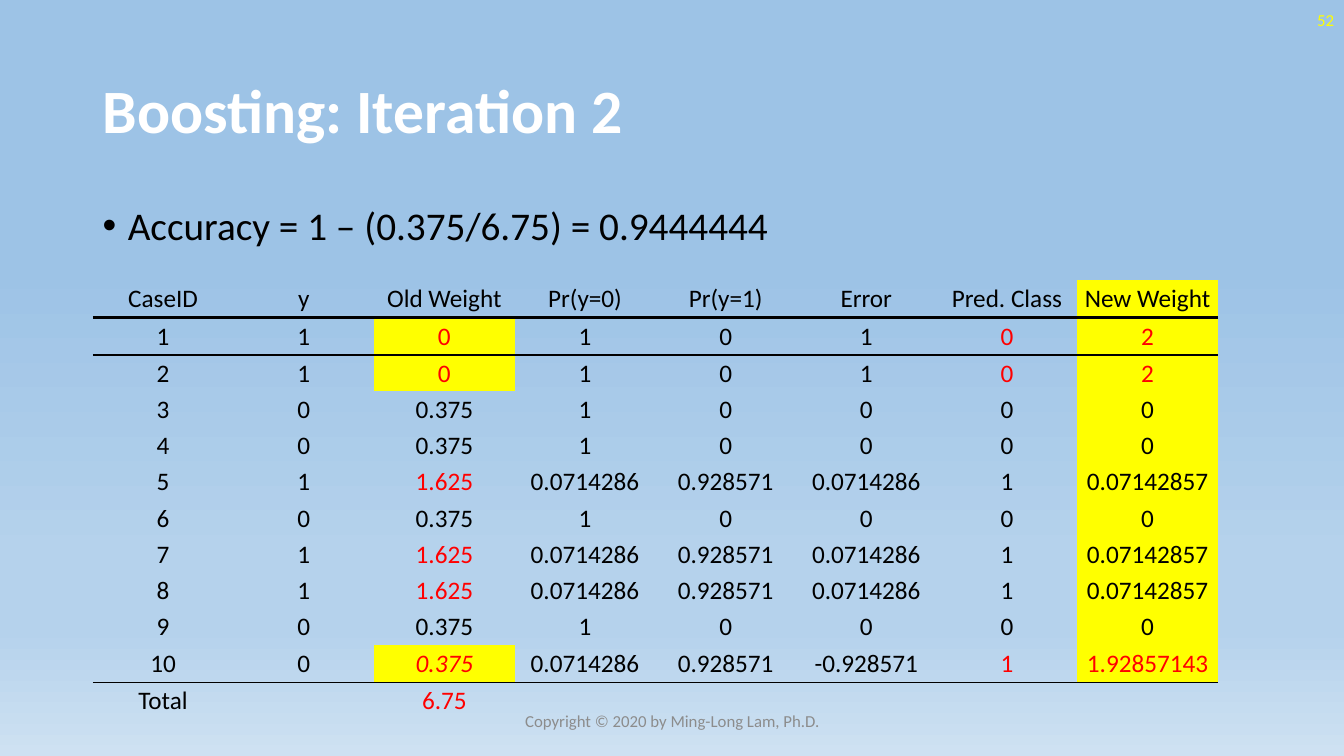
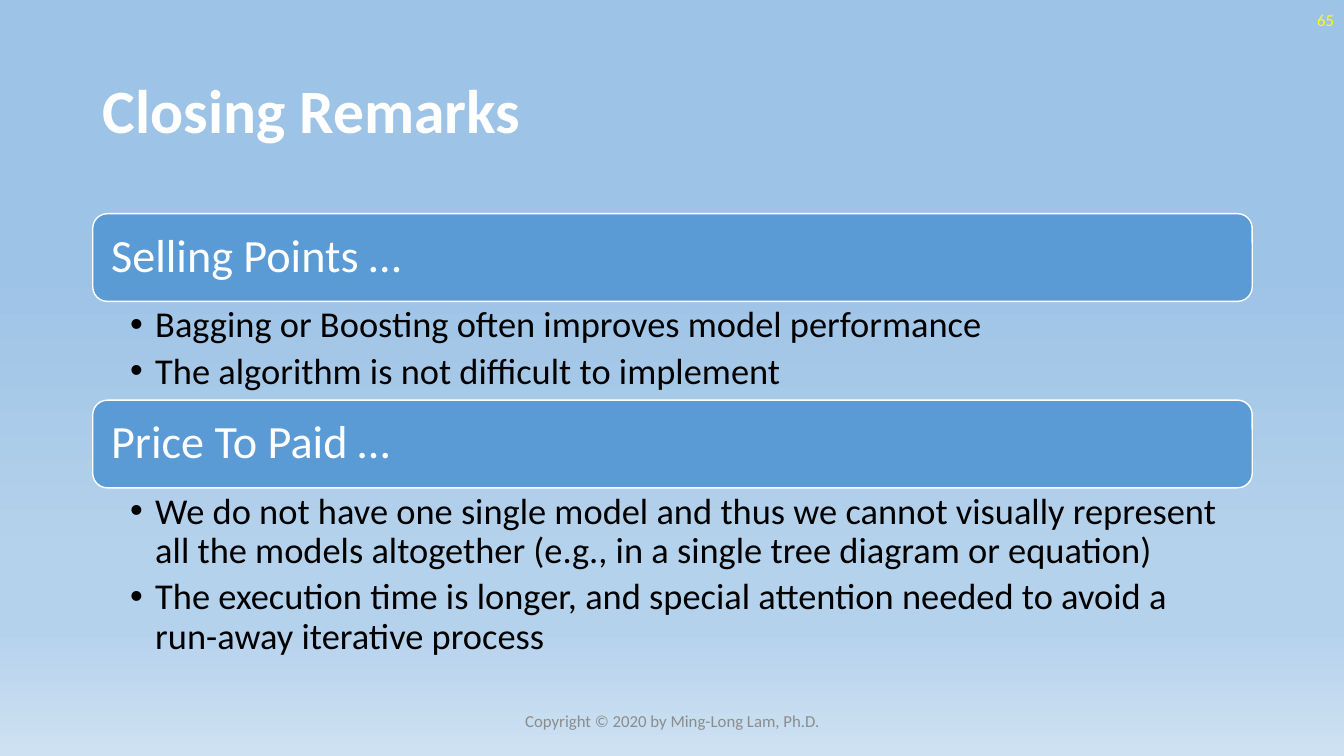
"""Build two lecture slides: a boosting iteration table and closing remarks."""
from dataclasses import dataclass

from lxml.etree import SubElement
from pptx import Presentation
from pptx.dml.color import RGBColor
from pptx.enum.shapes import MSO_SHAPE as Shape
from pptx.enum.text import MSO_ANCHOR as Anchor, MSO_AUTO_SIZE as AutoSize, PP_ALIGN as Align
from pptx.oxml.ns import qn
from pptx.util import Inches, Pt

FONT = "Calibri"
BLACK, WHITE, RED, YELLOW = "000000", "FFFFFF", "FF0000", "FFFF00"
BLUE, GRAY = "5B9BD5", "8C8C8C"
GRADIENT = [(35, "9DC3E6"), (74, "B5D2EC"), (83, "B5D2EC"), (100, "CEE1F2")]
NO_TABLE_STYLE = "{2D5ABB26-0587-4C30-8999-92F81FD0307C}"
COPYRIGHT = "Copyright © 2020 by Ming-Long Lam, Ph.D."
LEFT, WIDTH = 0.92, 11.5
BAR_HEIGHT = 0.87

HEADER = ["CaseID", "y", "Old Weight", "Pr(y=0)", "Pr(y=1)", "Error", "Pred. Class", "New Weight"]
MISSED_ONE = ["1", "0", "1", "0", "1", "0", "2"]
RIGHT_ZERO = ["0", "0.375", "1", "0", "0", "0", "0"]
RIGHT_ONE = ["1", "1.625", "0.0714286", "0.928571", "0.0714286", "1", "0.07142857"]
MISSED_ZERO = ["0", "0.375", "0.0714286", "0.928571", "-0.928571", "1", "1.92857143"]
CASES = [MISSED_ONE, MISSED_ONE, RIGHT_ZERO, RIGHT_ZERO, RIGHT_ONE,
         RIGHT_ZERO, RIGHT_ONE, RIGHT_ONE, RIGHT_ZERO, MISSED_ZERO]
TOTAL = ["Total", "", "6.75", "", "", "", "", ""]
Y, OLD, PRED, NEW = 1, 2, 6, 7
RULES = {0: ("a:lnB", 2), 1: ("a:lnT", 2), 10: ("a:lnB", 1), 11: ("a:lnT", 1)}


@dataclass
class Style:
    """Look of a paragraph."""
    size: float
    color: str = BLACK
    bold: bool = False
    italic: bool = False
    align: Align = Align.LEFT
    spacing: float = 1.0
    after: float = 0
    bullet: bool = False


@dataclass
class Section:
    """A heading bar with the points below it."""
    heading: str
    top: float
    height: float
    points: list[str]


TITLE = Style(44, WHITE, bold=True, spacing=0.9)
BODY = Style(28, spacing=0.9, bullet=True)
POINT = Style(26, spacing=0.9, after=5, bullet=True)
HEADING = Style(33, WHITE, spacing=0.9)
NUMBER = Style(12, YELLOW, align=Align.RIGHT)
FOOTER = Style(12, GRAY, align=Align.CENTER)

SECTIONS = [
    Section("Selling Points …", 2.12, 0.99, [
        "Bagging or Boosting often improves model performance",
        "The algorithm is not difficult to implement"]),
    Section("Price To Paid …", 3.97, 1.79, [
        "We do not have one single model and thus we cannot visually represent all the models "
        "altogether (e.g., in a single tree diagram or equation)",
        "The execution time is longer, and special attention needed to avoid a run-away "
        "iterative process"]),
]


def rgb(color: str) -> RGBColor:
    """Turn a hex string into a colour."""
    return RGBColor.from_string(color)


def set_margins(box, left: float, top: float, right: float, bottom: float) -> None:
    """Set the insets of a text frame or cell in inches."""
    box.margin_left, box.margin_top = Inches(left), Inches(top)
    box.margin_right, box.margin_bottom = Inches(right), Inches(bottom)


def write(tf, texts: list[str], style: Style) -> None:
    """Write one paragraph per text in a single style."""
    for i, text in enumerate(texts):
        p = tf.add_paragraph() if i else tf.paragraphs[0]
        if style.bullet:
            ppr = p._p.get_or_add_pPr()
            ppr.set("marL", str(Inches(0.25)))
            ppr.set("indent", str(Inches(-0.25)))
            SubElement(ppr, qn("a:buFont"), typeface="Arial")
            SubElement(ppr, qn("a:buChar"), char="•")
        p.alignment, p.line_spacing = style.align, style.spacing
        p.space_before, p.space_after = Pt(0), Pt(style.after)
        r = p.add_run()
        r.text = text
        r.font.name, r.font.size = FONT, Pt(style.size)
        r.font.bold, r.font.italic = style.bold, style.italic
        r.font.color.rgb = rgb(style.color)


def add_text(s, at: tuple, texts: list[str], style: Style, anchor=Anchor.MIDDLE):
    """Add a wrapping text box and return its frame."""
    tf = s.shapes.add_textbox(*map(Inches, at)).text_frame
    tf.word_wrap, tf.vertical_anchor = True, anchor
    write(tf, texts, style)
    return tf


def set_background(prs) -> None:
    """Give the master a vertical gradient."""
    fill = prs.slide_master.background.fill
    fill.gradient()
    fill.gradient_angle = 270
    stops = next(prs.slide_master.element.iter(qn("a:gsLst")))
    for stop in list(stops):
        stops.remove(stop)
    for percent, color in GRADIENT:
        stop = SubElement(stops, qn("a:gs"), pos=str(percent * 1000))
        SubElement(stop, qn("a:srgbClr"), val=color)


def add_slide(prs, title: str, number: int):
    """Add a slide with its title, number and copyright line."""
    s = prs.slides.add_slide(prs.slide_layouts[5])
    sp = s.shapes.title
    sp.left, sp.top, sp.width, sp.height = map(Inches, (LEFT, 0.4, WIDTH, 1.45))
    tf = sp.text_frame
    tf.word_wrap, tf.auto_size, tf.vertical_anchor = True, AutoSize.NONE, Anchor.MIDDLE
    write(tf, [title], TITLE)
    add_text(s, (10.33, 0, 3, 0.4), [str(number)], NUMBER)
    add_text(s, (4.42, 6.95, 4.5, 0.4), [COPYRIGHT], FOOTER)
    return s


def add_rule(cell, edge: str, points: float) -> None:
    """Draw a black border on one edge of a cell."""
    ln = SubElement(cell._tc.get_or_add_tcPr(), qn(edge), w=str(Pt(points)))
    SubElement(SubElement(ln, qn("a:solidFill")), qn("a:srgbClr"), val=BLACK)
    cell._tc.tcPr.insert(0, ln)


def format_cell(cell, row: int, col: int, values: list[str]) -> None:
    """Fill one cell, marking misclassified cases and changed weights."""
    text = values[col]
    missed = row > 0 and values[Y] != values[PRED]
    changed = col == OLD and row > 0 and text != "0.375"
    red = changed or (missed and col in (OLD, PRED, NEW))
    cell.vertical_anchor = Anchor.MIDDLE
    set_margins(cell, 0.01, 0.01, 0.01, 0)
    if (col == NEW and row <= len(CASES)) or (col == OLD and missed):
        cell.fill.solid()
        cell.fill.fore_color.rgb = rgb(YELLOW)
    else:
        cell.fill.background()
    if row in RULES:
        add_rule(cell, *RULES[row])
    if text:
        italic = col == OLD and missed and not changed
        write(cell.text_frame, [text],
              Style(18, RED if red else BLACK, italic=italic, align=Align.CENTER))


def add_weights(s) -> None:
    """Add the table of cases and weights."""
    rows = [HEADER, *([str(i), *case] for i, case in enumerate(CASES, 1)), TOTAL]
    at = map(Inches, (LEFT, 2.78, 11.16, 4.35))
    frame = s.shapes.add_table(len(rows), len(HEADER), *at)
    next(frame.element.iter(qn("a:tableStyleId"))).text = NO_TABLE_STYLE
    table = frame.table
    table.first_row = table.horz_banding = False
    for i, values in enumerate(rows):
        table.rows[i].height = Inches(0.37 if i in RULES else 0.36)
        for j in range(len(values)):
            format_cell(table.cell(i, j), i, j, values)


def add_section(s, section: Section) -> None:
    """Add a heading bar and its bulleted points."""
    at = map(Inches, (LEFT, section.top, WIDTH, BAR_HEIGHT))
    sp = s.shapes.add_shape(Shape.ROUNDED_RECTANGLE, *at)
    sp.shadow.inherit = False
    sp.fill.solid()
    sp.fill.fore_color.rgb = rgb(BLUE)
    sp.line.color.rgb, sp.line.width = rgb(WHITE), Pt(1)
    tf = sp.text_frame
    tf.word_wrap, tf.vertical_anchor = True, Anchor.MIDDLE
    set_margins(tf, 0.14, 0.14, 0.14, 0.14)
    write(tf, [section.heading], HEADING)
    box = (LEFT, section.top + BAR_HEIGHT, WIDTH, section.height)
    set_margins(add_text(s, box, section.points, POINT, Anchor.TOP), 0.37, 0.05, 0.26, 0.05)


def main() -> None:
    """Build and save the presentation."""
    prs = Presentation()
    prs.slide_width, prs.slide_height = Inches(13.33), Inches(7.5)
    set_background(prs)

    s = add_slide(prs, "Boosting: Iteration 2", 52)
    add_text(s, (LEFT, 2, WIDTH, 0.7), ["Accuracy = 1 – (0.375/6.75) = 0.9444444"], BODY, Anchor.TOP)
    add_weights(s)

    s = add_slide(prs, "Closing Remarks", 65)
    for section in SECTIONS:
        add_section(s, section)
    prs.save("out.pptx")


if __name__ == "__main__":
    main()
